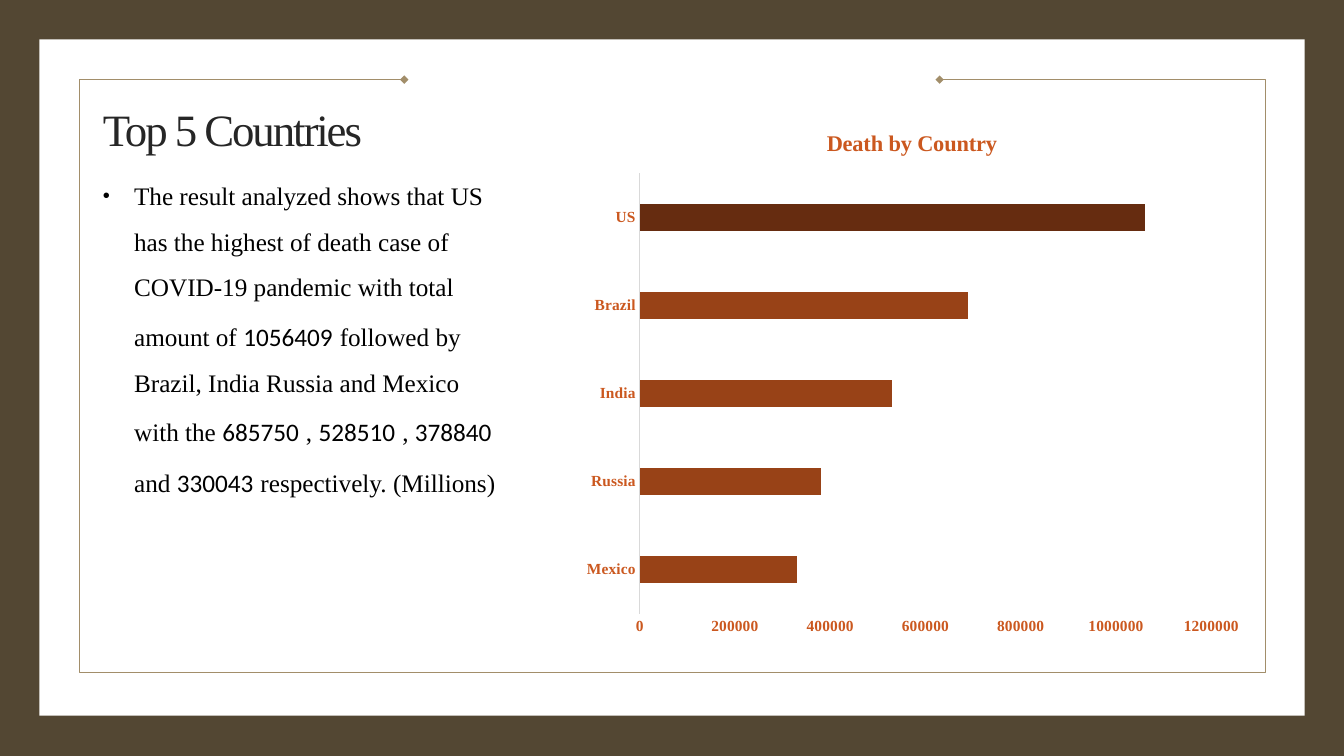
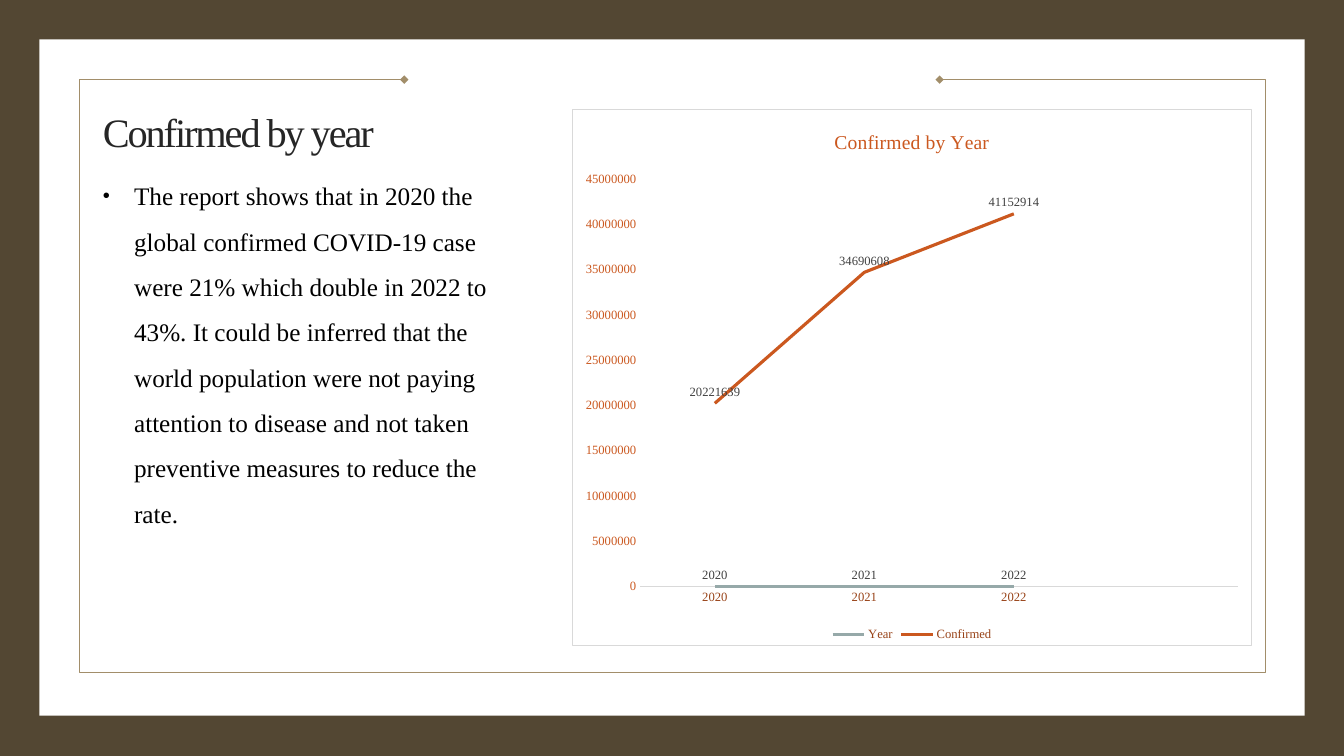
from lxml import etree
from pptx import Presentation
from pptx.chart.data import CategoryChartData
from pptx.dml.color import RGBColor
from pptx.enum import chart as ch, shapes as sh, text as tx
from pptx.oxml import parse_xml
from pptx.oxml.ns import nsdecls, qn
from pptx.util import Inches, Pt

FONT = "Times New Roman"
COLORS = {
    "back": "534733", "panel": "FFFFFF", "frame": "A28E6A", "title": "262626",
    "body": "000000", "accent": "CB581F", "bar": "984217", "top": "662C10",
    "rule": "D9D9D9", "year": "96A9A9", "label": "404040",
}
CHART_BOX = [Inches(n) for n in (5.67, 1.08, 6.75, 5.33)]
TITLE_BOX = [Inches(n) for n in (0.92, 0.88, 3.41, 0.72)]
BODY_BOX = [Inches(n) for n in (0.92, 1.59, 4.14, 5.03)]
FRAME = [(9.32, 0.79), (12.55, 0.79), (12.55, 6.67),
         (0.79, 6.67), (0.79, 0.79), (4.01, 0.79)]

# Body text alternates prose and figures; figures have their own font.
SLIDES = [
    {
        "title": "Top 5 Countries", "size": 32,
        "body": [
            "The result analyzed shows that US has the highest of death case "
            "of COVID-19 pandemic with total amount of ", "1056409",
            "followed by Brazil, India Russia and Mexico with the ", "685750",
            ", ", "528510", ", ", "378840", "and ", "330043",
            "respectively. (Millions)",
        ],
        "chart": {
            "kind": ch.XL_CHART_TYPE.BAR_CLUSTERED,
            "title": ("Death by Country", 16, True),
            "cats": ["Mexico", "Russia", "India", "Brazil", "US"],
            "series": [("Series 1", [330000, 380000, 530000, 690000, 1060000], "accent")],
            "points": ["bar"] * 4 + ["top"],
            "axis": (11, True, "accent"), "scale": (1200000, 200000),
            "plot": (0.10, 0.12, 0.84, 0.82),
        },
    },
    {
        "title": "Confirmed by year", "size": 28.8,
        "body": [
            "The report shows that in 2020 the global confirmed COVID-19 case "
            "were 21% which double in 2022 to 43%. It could be inferred that "
            "the world population were not paying attention to disease and not "
            "taken preventive measures to reduce the rate.",
        ],
        "chart": {
            "kind": ch.XL_CHART_TYPE.LINE,
            "title": ("Confirmed by Year", 14, False),
            "cats": ["2020", "2021", "2022", ""],
            "series": [
                ("Year", [2020, 2021, 2022, None], "year"),
                ("Confirmed", [20221639, 34690608, 41152914, None], "accent"),
            ],
            "axis": (9, False, "bar"), "scale": (45000000, 5000000),
            "plot": (0.10, 0.13, 0.88, 0.76),
        },
    },
]


def color(name):
    return RGBColor.from_string(COLORS[name])


def style(font, size, name, bold=False):
    font.name, font.size, font.bold = FONT, Pt(size), bold
    font.color.rgb = color(name)


def place(shape, box):
    shape.left, shape.top, shape.width, shape.height = box


def set_up(layout, slide):
    """Give the layout its background, panel, frame and placeholder places."""
    fill = layout.background.fill
    fill.solid()
    fill.fore_color.rgb = color("back")
    for holder in layout.placeholders:
        idx = holder.placeholder_format.idx
        if idx in (0, 1):
            place(holder, (TITLE_BOX, BODY_BOX)[idx])

    panel = slide.shapes.add_shape(
        sh.MSO_SHAPE.RECTANGLE, *[Inches(n) for n in (0.39, 0.39, 12.55, 6.71)])
    panel.fill.solid()
    panel.fill.fore_color.rgb = color("panel")
    panel.line.fill.background()

    pts = [(Inches(x), Inches(y)) for x, y in FRAME]
    path = slide.shapes.build_freeform(*pts[0])
    path.add_line_segments(pts[1:], close=False)
    frame = path.convert_to_shape()
    frame.fill.background()
    frame.line.color.rgb = color("frame")
    frame.line.width = Pt(1)
    line = frame.element.spPr.find(qn("a:ln"))
    for end in ("a:headEnd", "a:tailEnd"):
        etree.SubElement(line, qn(end), type="diamond")

    for n, shape in enumerate((panel, frame)):
        shape.shadow.inherit = False
        shape.element.nvSpPr.cNvPr.set("id", str(100 + n))
        layout.shapes.element.insert(2 + n, shape.element)


def add_title(slide, words, size):
    box = slide.shapes.title
    frame = box.text_frame
    frame.vertical_anchor = tx.MSO_ANCHOR.BOTTOM
    frame.auto_size = tx.MSO_AUTO_SIZE.NONE
    para = frame.paragraphs[0]
    para.alignment, para.line_spacing = tx.PP_ALIGN.LEFT, 0.9
    run = para.add_run()
    run.text = words
    style(para.font, size, "title")
    run.font.size = Pt(size)
    run.font.element.set("spc", "-150") if hasattr(run.font, "element") else \
        run._r.get_or_add_rPr().set("spc", "-150")


def add_body(slide, parts):
    frame = slide.placeholders[1].text_frame
    frame.auto_size = tx.MSO_AUTO_SIZE.NONE
    para = frame.paragraphs[0]
    props = para._p.get_or_add_pPr()
    props.set("marL", str(Inches(0.31)))
    props.set("indent", str(-Inches(0.31)))
    etree.SubElement(props, qn("a:buSzPct"), val="80000")
    etree.SubElement(props, qn("a:buFont"), typeface="Arial")
    etree.SubElement(props, qn("a:buChar"), char="•")
    style(para.font, 18, "body")
    para.line_spacing, para.space_before = 1.5, Pt(0)
    for n, part in enumerate(parts):
        run = para.add_run()
        run.text = part
        if n % 2:
            run.font.name = "Calibri"
            gap = para.add_run()
            gap.text = " "
            gap.font.size = Pt(20)


def set_plot(chart, sizes):
    """Fix the inner plot area as fractions of the chart."""
    area = chart.element.find(".//" + qn("c:plotArea"))
    for old in area.findall(qn("c:layout")):
        area.remove(old)
    modes = '<c:xMode val="edge"/><c:yMode val="edge"/>'
    vals = "".join(f'<c:{k} val="{v}"/>' for k, v in zip("xywh", sizes))
    area.insert(0, parse_xml(
        f'<c:layout {nsdecls("c")}><c:manualLayout>'
        f'<c:layoutTarget val="inner"/>{modes}{vals}</c:manualLayout></c:layout>'))


def add_border(chart):
    chart.element.find(qn("c:chart")).addnext(parse_xml(
        f'<c:spPr {nsdecls("c", "a")}>'
        f'<a:solidFill><a:srgbClr val="{COLORS["panel"]}"/></a:solidFill>'
        f'<a:ln w="{Pt(0.75)}"><a:solidFill><a:srgbClr val="{COLORS["rule"]}"/>'
        '</a:solidFill></a:ln></c:spPr>'))


def style_axes(chart, spec):
    size, bold, name = spec["axis"]
    cat, val = chart.category_axis, chart.value_axis
    for axis, tone in ((cat, name), (val, "accent")):
        axis.has_major_gridlines = False
        axis.major_tick_mark = axis.minor_tick_mark = ch.XL_TICK_MARK.NONE
        style(axis.tick_labels.font, size, tone, bold)
    cat.format.line.color.rgb = color("rule")
    cat.format.line.width = Pt(0.75)
    val.format.line.fill.background()
    val.minimum_scale = 0
    val.maximum_scale, val.major_unit = spec["scale"]
    val.tick_labels.number_format = "0"
    val.tick_labels.number_format_is_linked = False


def style_bars(chart, spec):
    plot = chart.plots[0]
    plot.gap_width = 219
    bars = plot.series[0]
    bars.format.fill.solid()
    bars.format.fill.fore_color.rgb = color(spec["series"][0][2])
    for n, name in enumerate(spec["points"]):
        fill = bars.points[n].format.fill
        fill.solid()
        fill.fore_color.rgb = color(name)


def style_lines(chart, spec):
    for line, (_, _, name) in zip(chart.plots[0].series, spec["series"]):
        line.smooth = False
        line.format.line.color.rgb = color(name)
        line.format.line.width = Pt(2.25)
        tags = line.data_labels
        tags.show_value = True
        tags.position = ch.XL_LABEL_POSITION.ABOVE
        style(tags.font, 9, "label")
    chart.has_legend = True
    chart.legend.position = ch.XL_LEGEND_POSITION.BOTTOM
    chart.legend.include_in_layout = False
    style(chart.legend.font, 9, "bar")
    add_border(chart)


def add_chart(slide, spec):
    data = CategoryChartData(number_format="0")
    data.categories = spec["cats"]
    for name, vals, _ in spec["series"]:
        data.add_series(name, vals)
    chart = slide.shapes.add_chart(spec["kind"], *CHART_BOX, data).chart
    style(chart.font, 10, "body")
    chart.has_legend = False
    chart.plots[0].vary_by_categories = False
    words, size, bold = spec["title"]
    chart.has_title = True
    para = chart.chart_title.text_frame.paragraphs[0]
    para.add_run().text = words
    style(para.font, size, "accent", bold)
    chart.chart_title.include_in_layout = False
    style_axes(chart, spec)
    set_plot(chart, spec["plot"])
    paint = style_bars if "points" in spec else style_lines
    paint(chart, spec)


def main():
    deck = Presentation()
    deck.slide_width, deck.slide_height = Inches(13.33), Inches(7.5)
    layout = deck.slide_layouts[1]
    for n, item in enumerate(SLIDES):
        slide = deck.slides.add_slide(layout)
        if n == 0:
            set_up(layout, slide)
        add_title(slide, item["title"], item["size"])
        add_body(slide, item["body"])
        add_chart(slide, item["chart"])
    deck.save("out.pptx")


if __name__ == "__main__":
    main()
